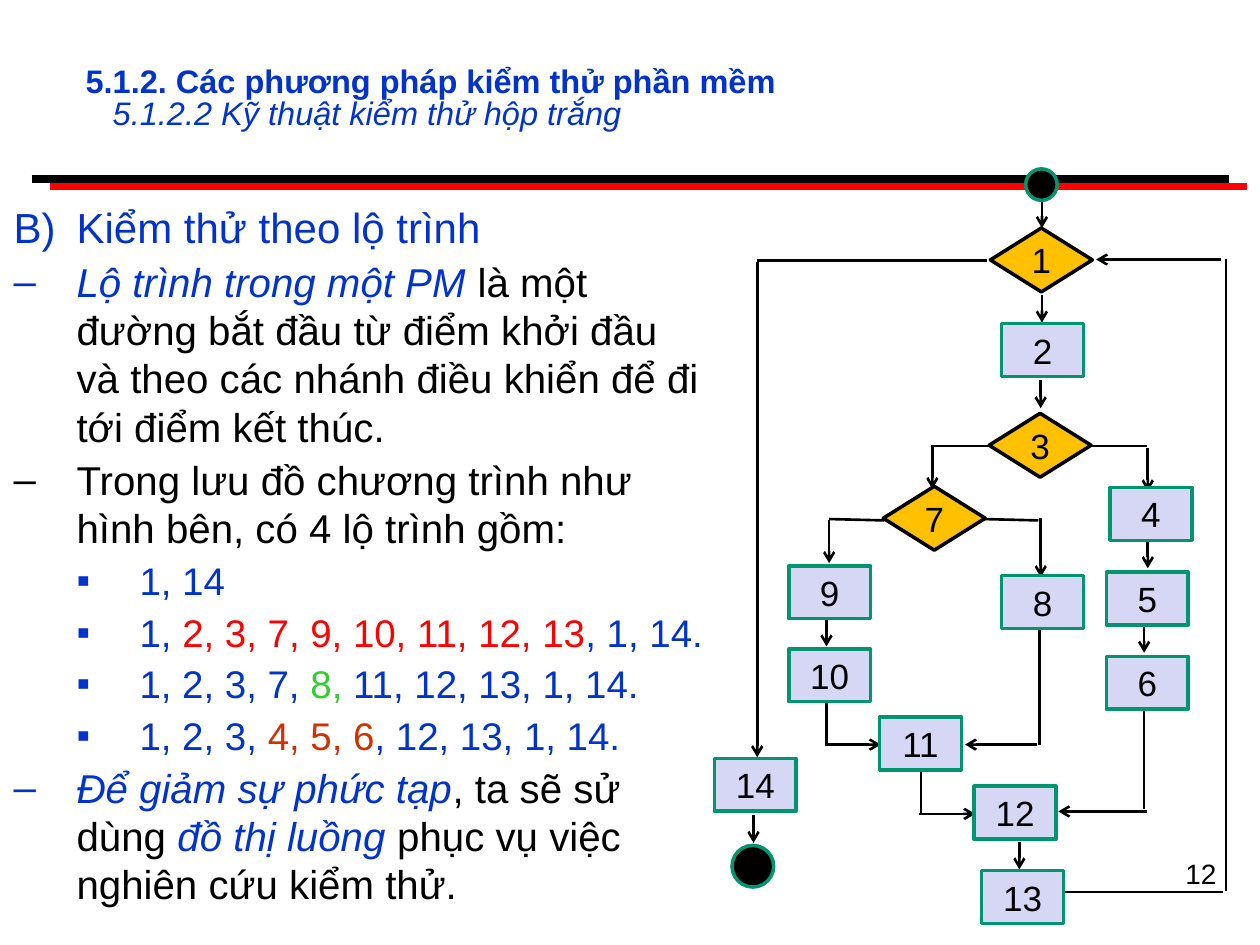
import pptx
import pptx.util
import pptx.dml.color
import pptx.enum.shapes
import pptx.enum.text
import pptx.oxml.ns
from lxml import etree

Pt = pptx.util.Pt
RGB = pptx.dml.color.RGBColor.from_string
Kind = pptx.enum.shapes.MSO_SHAPE
Align = pptx.enum.text.PP_ALIGN
Anchor = pptx.enum.text.MSO_ANCHOR
qn = pptx.oxml.ns.qn


class Theme:
    font = "Arial"
    black, blue, red = "000000", "0033CC", "FF0000"
    green, rust = "33CC33", "CC3300"
    gold, pale, teal = "FFC000", "D6D6F5", "00956F"
    title, head, body, path_list, node, page = 18.6, 24, 23, 22, 20, 16
    rule, edge, rim = 4.5, 1.5, 2


def add_run(para, text, size, color, bold=False, italic=False):
    run = para.add_run()
    run.text = text
    font = run.font
    font.name, font.size = Theme.font, Pt(size)
    font.bold, font.italic = bold, italic
    font.color.rgb = RGB(color)


def add_line(x1, y1, x2, y2, arrow=False, color=Theme.black, width=Theme.edge):
    link = slide.shapes.add_connector(
        pptx.enum.shapes.MSO_CONNECTOR.STRAIGHT, Pt(x1), Pt(y1), Pt(x2), Pt(y2))
    link.line.color.rgb = RGB(color)
    link.line.width = Pt(width)
    props = link.element.spPr
    if arrow:
        etree.SubElement(props.find(qn("a:ln")), qn("a:tailEnd"), type="arrow")
    etree.SubElement(props, qn("a:effectLst"))


deck = pptx.Presentation()
deck.slide_width, deck.slide_height = Pt(720), Pt(540)
slide = deck.slides.add_slide(deck.slide_layouts[6])

# Double rule under the title
add_line(18, 102.2, 702, 102.2, color=Theme.black, width=Theme.rule)
add_line(28.8, 106.6, 712.8, 106.6, color=Theme.red, width=Theme.rule)

# Page number
box = slide.shapes.add_textbox(Pt(534.2), Pt(486), Pt(168), Pt(37.4))
box.text_frame.word_wrap = True
para = box.text_frame.paragraphs[0]
para.alignment = Align.RIGHT
add_run(para, "12", Theme.page, Theme.black)

# Body: bullet, bullet colour, level, size, runs of (text, colour, italic)
dash, square = "‒", "▪"
blue, black = Theme.blue, Theme.black
items = [
    ("B)", blue, 0, Theme.head, [("Kiểm thử theo lộ trình", blue, False)]),
    (dash, blue, 0, Theme.body, [
        ("Lộ trình trong một PM ", blue, True),
        ("là một đường bắt đầu từ điểm khởi đầu và theo các nhánh điều khiển "
         "để đi tới điểm kết thúc.", black, False)]),
    (dash, black, 0, Theme.body, [
        ("Trong lưu đồ chương trình như hình bên, có 4 lộ trình gồm:", black, False)]),
    (square, blue, 1, Theme.path_list, [("1, 14", blue, False)]),
    (square, blue, 1, Theme.path_list, [
        ("1, ", blue, False), ("2, 3, 7, 9, 10, 11, 12, 13", Theme.red, False),
        (", 1, 14.", blue, False)]),
    (square, blue, 1, Theme.path_list, [
        ("1, 2, 3, 7, ", blue, False), ("8, ", Theme.green, False),
        ("11, 12, 13, 1, 14.", blue, False)]),
    (square, blue, 1, Theme.path_list, [
        ("1, 2, 3, ", blue, False), ("4, 5, 6", Theme.rust, False),
        (", 12, 13, 1, 14.", blue, False)]),
    (dash, blue, 0, Theme.body, [
        ("Để giảm sự phức tạp", blue, True), (", ta sẽ sử dùng ", black, False),
        ("đồ thị luồng ", blue, True),
        ("phục vụ việc nghiên cứu kiểm thử.", black, False)]),
]
box = slide.shapes.add_textbox(Pt(0.7), Pt(111.6), Pt(410.4), Pt(416.9))
frame = box.text_frame
frame.word_wrap = True
for row, (mark, tint, level, size, runs) in enumerate(items):
    para = frame.add_paragraph() if row else frame.paragraphs[0]
    para.level = level
    para.space_before = Pt(3 if row else 0)
    props = para._p.get_or_add_pPr()
    props.set("marL", str(Pt(36 * (level + 1))))
    props.set("indent", str(Pt(-36)))
    hue = etree.SubElement(props, qn("a:buClr"))
    etree.SubElement(hue, qn("a:srgbClr"), val=tint)
    etree.SubElement(props, qn("a:buFont"), typeface=Theme.font)
    if mark == "B)":
        etree.SubElement(props, qn("a:buAutoNum"), type="alphaUcParenR", startAt="2")
    else:
        etree.SubElement(props, qn("a:buChar"), char=mark)
    for text, color, italic in runs:
        add_run(para, text, size, color, italic=italic)

# Title
box = slide.shapes.add_textbox(Pt(41.8), Pt(30.2), Pt(653.8), Pt(54))
frame = box.text_frame
frame.word_wrap = True
frame.vertical_anchor = Anchor.MIDDLE
top, sub = frame.paragraphs[0], frame.add_paragraph()
top.line_spacing = sub.line_spacing = 0.8
sub._p.get_or_add_pPr().set("marL", str(Pt(15.5)))
add_run(top, "5.1.2. Các phương pháp kiểm thử phần mềm", Theme.title, blue, bold=True)
add_run(sub, "5.1.2.2 Kỹ thuật kiểm thử hộp trắng", Theme.title, blue, italic=True)

# Flow chart edges: x1, y1, x2, y2
arrows = [
    (595.4, 108.7, 595.4, 130.3), (595.4, 168.5, 595.4, 184.3),
    (594.7, 217.4, 594.7, 233.3), (655.9, 256.3, 655.9, 280.8),
    (655.9, 308.9, 655.9, 324.7), (653.8, 357.1, 653.8, 373),
    (532.8, 254.9, 532.8, 279.4), (594.7, 295.9, 594.7, 329.8),
    (473.8, 297.4, 473.8, 321.8), (472.3, 353.5, 472.3, 369.4),
    (471.6, 425.5, 503.3, 425.5), (592.6, 425.5, 551.5, 425.5),
    (524.9, 465.1, 557.3, 465.1), (655.2, 463.7, 604.8, 463.7),
    (582.5, 481, 582.5, 496.8), (697.7, 148.3, 626.4, 148.3),
    (432.7, 149.8, 432.7, 432.7), (430.6, 465.8, 430.6, 481.7),
]
plain = [
    (432.7, 149, 563.8, 149), (623.5, 254.9, 655.2, 254.9),
    (653.8, 406.1, 653.8, 462.2), (532.1, 254.9, 564.5, 254.9),
    (561.6, 296.6, 593.3, 297.4), (594, 359.3, 594, 425.5),
    (473.8, 296.6, 505.4, 297.4), (472.3, 400.3, 472.3, 425.5),
    (526.3, 439.9, 526.3, 465.1), (700.6, 148.3, 700.6, 509),
    (608.4, 509.8, 699.1, 509.8),
]
for ends in arrows:
    add_line(*ends, arrow=True)
for ends in plain:
    add_line(*ends)

# Flow chart nodes: kind, width, height, fill, rim, {label: (left, top)}
groups = [
    (Kind.DIAMOND, 58.3, 36.5, Theme.gold, Theme.black, {
        "1": (565.9, 130.3), "3": (565.2, 236.2), "7": (504.7, 277.9)}),
    (Kind.RECTANGLE, 46.8, 30.2, Theme.pale, Theme.teal, {
        "2": (572.4, 185), "4": (634.3, 278.6), "5": (632.2, 326.9),
        "6": (632.2, 375.1), "8": (572.4, 329), "9": (450.7, 323.3),
        "10": (450.7, 370.8), "11": (502.6, 409.7), "12": (556.6, 449.3),
        "13": (560.9, 497.5), "14": (408.2, 433.4)}),
    (Kind.OVAL, 18, 18, Theme.black, Theme.teal, {"": (586.1, 96.5)}),
    (Kind.OVAL, 23.8, 23.8, Theme.black, Theme.teal, {"": (418.3, 483.1)}),
]
for kind, wide, high, fill, rim, spots in groups:
    for label, (left, top) in spots.items():
        node = slide.shapes.add_shape(kind, Pt(left), Pt(top), Pt(wide), Pt(high))
        node.shadow.inherit = False
        node.fill.solid()
        node.fill.fore_color.rgb = RGB(fill)
        node.line.color.rgb = RGB(rim)
        node.line.width = Pt(Theme.rim)
        if label:
            frame = node.text_frame
            frame.word_wrap = False
            frame.vertical_anchor = Anchor.MIDDLE
            para = frame.paragraphs[0]
            para.alignment = Align.CENTER
            add_run(para, label, Theme.node, Theme.black)

deck.save("out.pptx")
